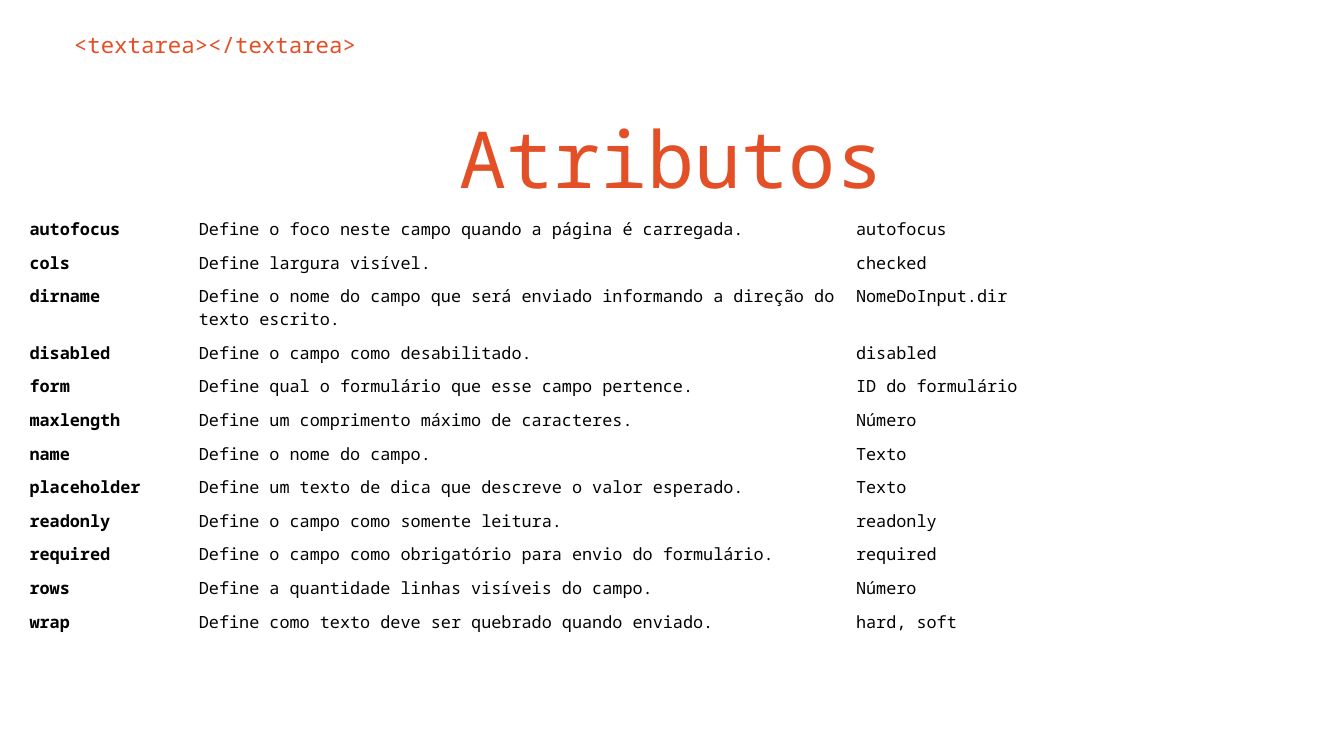
from pptx import Presentation, util as u
from pptx.dml.color import RGBColor
from pptx.enum import text as t

ORANGE = RGBColor(0xE3, 0x4F, 0x26)
BLACK = RGBColor(0, 0, 0)
FONT = "Noto Sans Mono"
WIDTH = u.Inches(10)
HEIGHT = WIDTH * 9 // 16
COLUMNS = (12.6, 48.9, 33.7)
ATTRIBUTES = [
    ("autofocus", "Define o foco neste campo quando a página é carregada.", "autofocus"),
    ("cols", "Define largura visível.", "checked"),
    ("dirname", "Define o nome do campo que será enviado informando a direção do texto escrito.",
     "NomeDoInput.dir"),
    ("disabled", "Define o campo como desabilitado.", "disabled"),
    ("form", "Define qual o formulário que esse campo pertence.", "ID do formulário"),
    ("maxlength", "Define um comprimento máximo de caracteres.", "Número"),
    ("name", "Define o nome do campo.", "Texto"),
    ("placeholder", "Define um texto de dica que descreve o valor esperado.", "Texto"),
    ("readonly", "Define o campo como somente leitura.", "readonly"),
    ("required", "Define o campo como obrigatório para envio do formulário.", "required"),
    ("rows", "Define a quantidade linhas visíveis do campo.", "Número"),
    ("wrap", "Define como texto deve ser quebrado quando enviado.", "hard, soft"),
]


def across(share):
    """Turn a percentage of the slide width into a length."""
    return int(WIDTH * share / 100)


def down(share):
    """Turn a percentage of the slide height into a length."""
    return int(HEIGHT * share / 100)


def add_run(p, content, size, color, bold=False):
    """Append one formatted run to a paragraph."""
    r = p.add_run()
    r.text = content
    r.font.name, r.font.size, r.font.bold = FONT, u.Pt(size), bold
    r.font.color.rgb = color


def set_margins(box, inset):
    """Give a text frame or cell the same inset on all sides."""
    box.margin_left = box.margin_right = u.Inches(inset)
    box.margin_top = box.margin_bottom = u.Inches(inset)


def fill_heading(sp, box, content, size, align):
    """Place a heading placeholder by slide shares and write its text."""
    left, top, width, height = box
    sp.left, sp.top = across(left), down(top)
    sp.width, sp.height = across(width), down(height)
    tf = sp.text_frame
    tf.word_wrap, tf.auto_size = True, t.MSO_AUTO_SIZE.NONE
    tf.vertical_anchor = t.MSO_ANCHOR.TOP
    set_margins(tf, 0.1)
    p = tf.paragraphs[0]
    p.alignment, p.space_before = align, u.Pt(0)
    add_run(p, content, size, ORANGE)


def fill_cell(cell, content, bold):
    """Write one plain table cell."""
    cell.fill.background()
    set_margins(cell, 0.04)
    add_run(cell.text_frame.paragraphs[0], content, 9, BLACK, bold)


def add_attribute_table(s, left, top, row_height):
    """Add the table of attributes, with bold names in its first column."""
    frame = s.shapes.add_table(len(ATTRIBUTES), len(COLUMNS), across(left), down(top),
                               across(sum(COLUMNS)), row_height * len(ATTRIBUTES))
    table = frame.table
    table.first_row = table.horz_banding = False
    for column, share in zip(table.columns, COLUMNS):
        column.width = across(share)
    for row, values in zip(table.rows, ATTRIBUTES):
        row.height = row_height
        for i, (cell, value) in enumerate(zip(row.cells, values)):
            fill_cell(cell, value, bold=i == 0)


def main():
    """Build and save the slide."""
    prs = Presentation()
    prs.slide_width, prs.slide_height = WIDTH, HEIGHT
    s = prs.slides.add_slide(prs.slide_layouts[0])
    fill_heading(s.shapes.title, (4.5, 2.3, 91.8, 7.5), "<textarea></textarea>",
                 12, t.PP_ALIGN.LEFT)
    fill_heading(s.placeholders[1], (7.1, 12.8, 85.7, 15.3), "Atributos",
                 42, t.PP_ALIGN.CENTER)
    add_attribute_table(s, 1.8, 28.1, u.Inches(0.2))
    prs.save("out.pptx")


if __name__ == "__main__":
    main()
